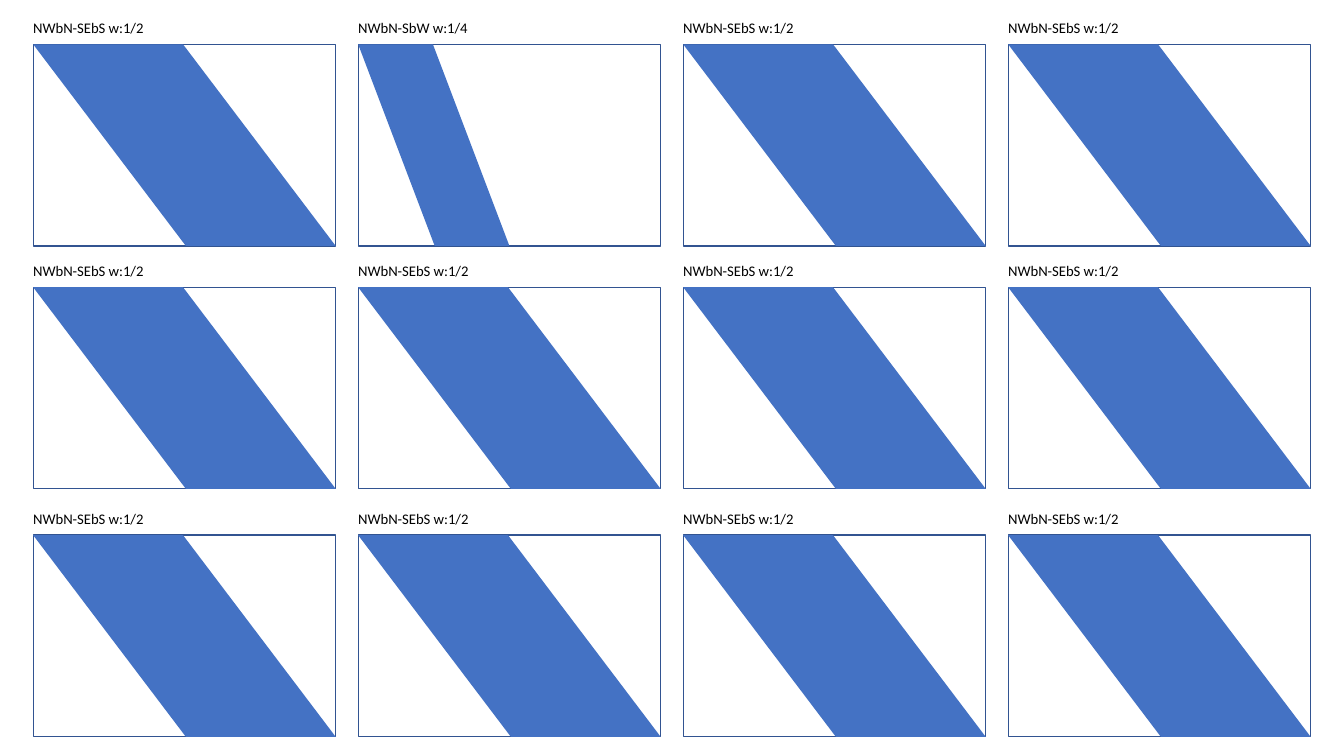
from pptx import Presentation
from pptx.dml.color import RGBColor
from pptx.enum.shapes import MSO_SHAPE
from pptx.enum.text import MSO_AUTO_SIZE
from pptx.util import Inches, Pt

BAND_BLUE = RGBColor(0x44, 0x72, 0xC4)
FRAME_BLUE = RGBColor(0x32, 0x54, 0x91)
BLACK = RGBColor(0x00, 0x00, 0x00)

# Grid of panels, in inches
COLUMNS = 4
LEFT, LAST_LEFT = 0.33, 10
COLUMN_STEP = (LAST_LEFT - LEFT) / (COLUMNS - 1)
ROW_TOPS = [0.44, 2.85, 5.31]
PANEL_WIDTH, PANEL_HEIGHT = 3, 2
LABEL_RISE, LABEL_HEIGHT = 0.25, 0.18

# Each band: label, share of the panel's width, slant
HALF_BAND = ("NWbN-SEbS w:1/2", 1, 0.757)
QUARTER_BAND = ("NWbN-SbW w:1/4", 1 / 2, 0.506)
SPECIAL_BANDS = {(0, 1): QUARTER_BAND}

LABEL_FRAME = {
    "margin_left": 0, "margin_top": 0, "margin_right": 0, "margin_bottom": 0,
    "word_wrap": True, "auto_size": MSO_AUTO_SIZE.SHAPE_TO_FIT_TEXT,
}
LABEL_FONT = {"name": "Calibri", "size": Pt(10.5)}

presentation = Presentation()
presentation.slide_width = Inches(13.33)
presentation.slide_height = Inches(7.5)
slide = presentation.slides.add_slide(presentation.slide_layouts[6])

for row, row_top in enumerate(ROW_TOPS):
    for column in range(COLUMNS):
        label_text, width_share, slant = SPECIAL_BANDS.get((row, column), HALF_BAND)
        left = Inches(LEFT + column * COLUMN_STEP)
        top = Inches(row_top)
        width, height = Inches(PANEL_WIDTH), Inches(PANEL_HEIGHT)

        # Half-width panels are grouped, the special one stands loose
        if (row, column) in SPECIAL_BANDS:
            panel = slide.shapes
        else:
            panel = slide.shapes.add_group_shape().shapes

        # Frame
        frame = panel.add_shape(MSO_SHAPE.RECTANGLE, left, top, width, height)
        frame.shadow.inherit = False
        frame.fill.background()
        frame.line.color.rgb = FRAME_BLUE
        frame.line.width = Pt(1)

        # Diagonal band, mirrored to run from upper left to lower right
        band = panel.add_shape(MSO_SHAPE.PARALLELOGRAM, left, top,
                               Inches(PANEL_WIDTH * width_share), height)
        band.shadow.inherit = False
        band.adjustments[0] = slant
        band.fill.solid()
        band.fill.fore_color.rgb = BAND_BLUE
        band.line.fill.background()
        band.element.spPr.get_or_add_xfrm().set("flipH", "1")

        # Label above the frame
        label = panel.add_textbox(left, Inches(row_top - LABEL_RISE),
                                  width, Inches(LABEL_HEIGHT))
        for name, value in LABEL_FRAME.items():
            setattr(label.text_frame, name, value)
        wording = label.text_frame.paragraphs[0].add_run()
        wording.text = label_text
        for name, value in LABEL_FONT.items():
            setattr(wording.font, name, value)
        wording.font.color.rgb = BLACK

presentation.save("out.pptx")
